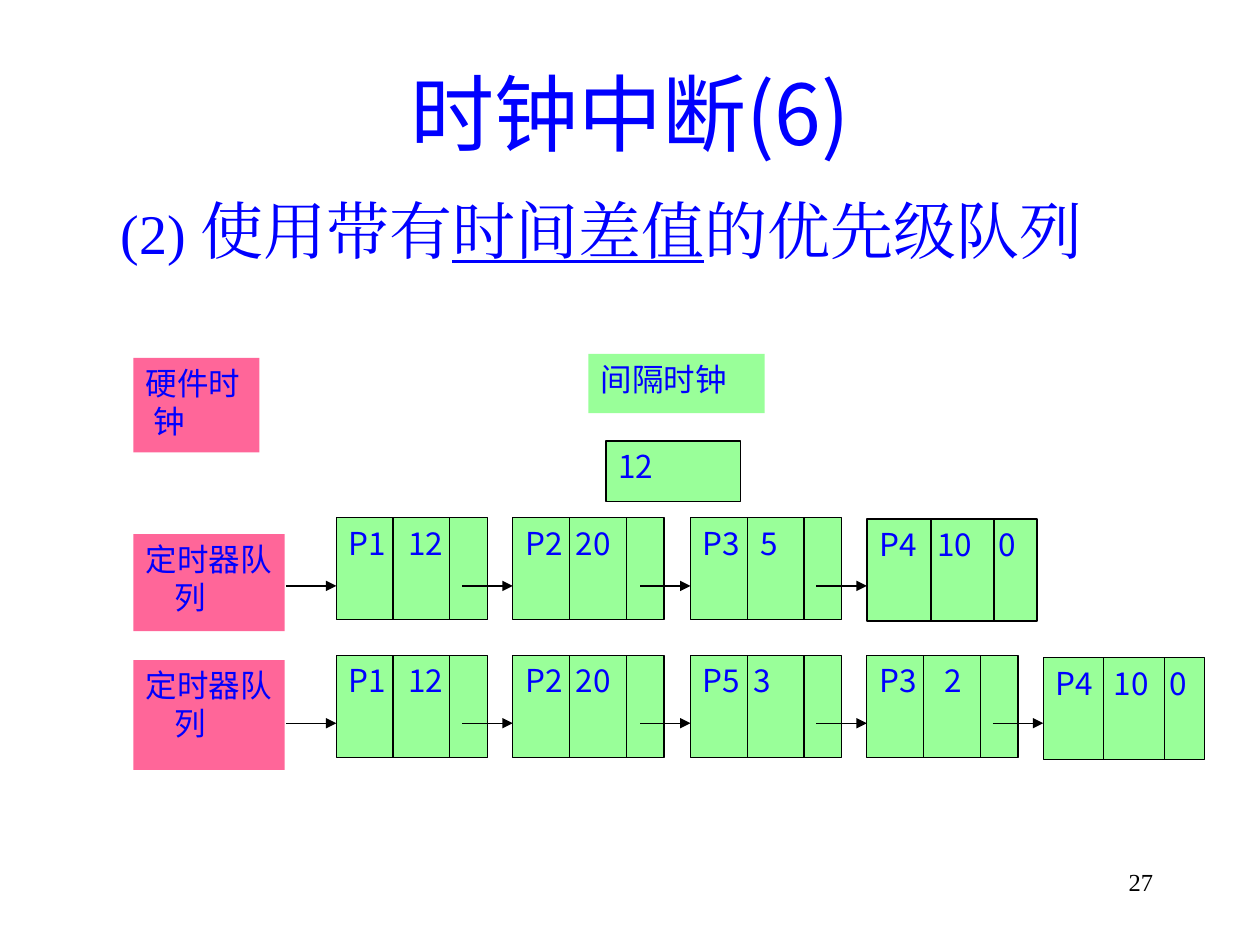
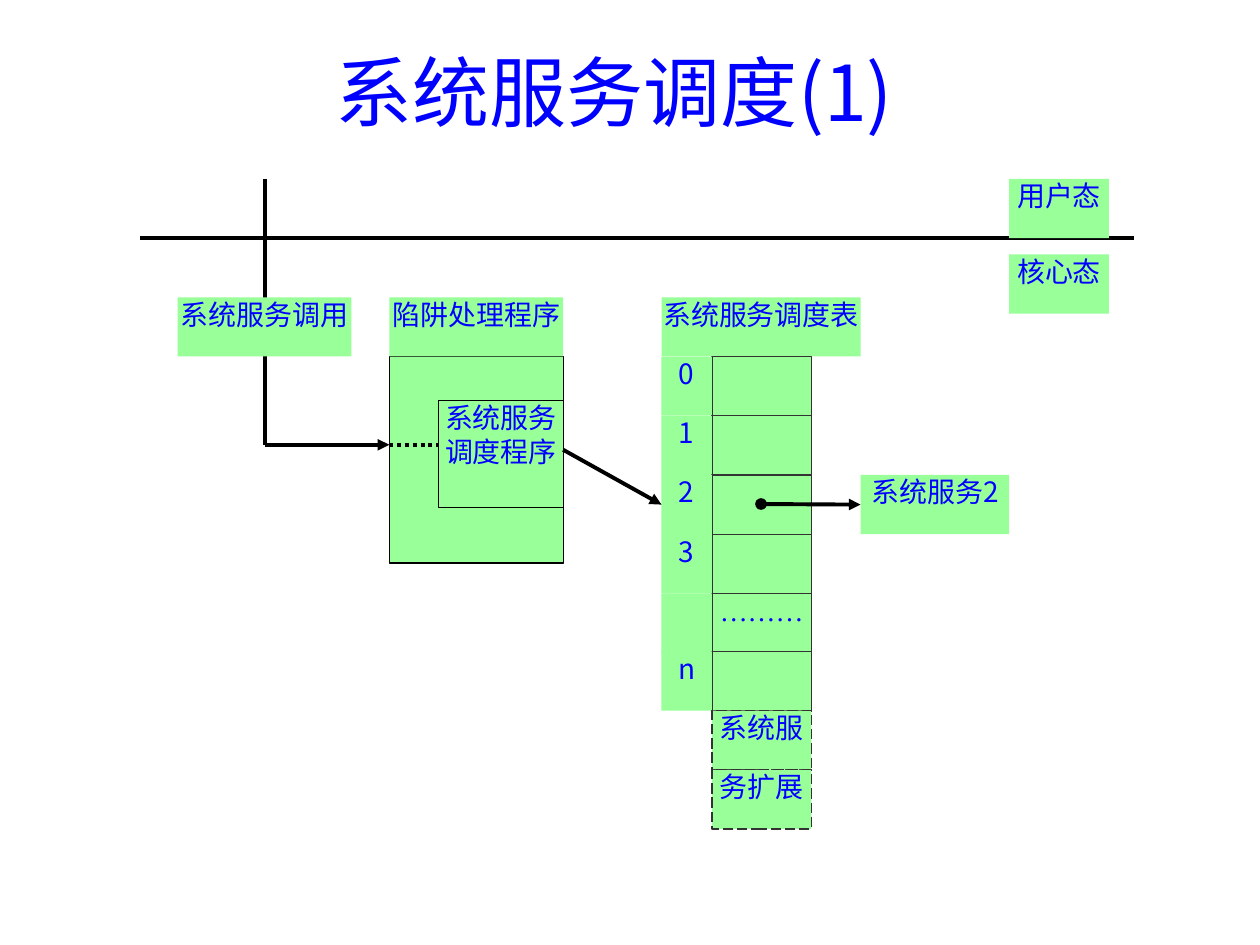
"""Build two slides on clock interrupts and system service dispatching."""
from lxml.etree import SubElement
from pptx import Presentation
from pptx.dml.color import RGBColor
from pptx.enum.dml import MSO_LINE as Dash
from pptx.enum.shapes import MSO_CONNECTOR as Link, MSO_SHAPE as Shape
from pptx.enum.text import MSO_ANCHOR as Anchor, MSO_AUTO_SIZE as Fit, PP_ALIGN as Align
from pptx.oxml.ns import qn
from pptx.util import Pt

PX = 9144
SANS, SERIF = "Noto Sans CJK JP", "Times New Roman"
BLUE, GREEN, PINK, BLACK, GREY = "0000FF", "99FF99", "FF6699", "000000", "333333"
color = RGBColor.from_string


def box(slide, place, text="", fill=GREEN, edge=None, dash=None, size=16,
        font=SANS, align=Align.CENTER, insets=(0, 0, 0, 0), tabs=(), hang=0):
    """Add a filled rectangle with top-anchored text."""
    shape = slide.shapes.add_shape(Shape.RECTANGLE, *[v * PX for v in place])
    shape.shadow.inherit = False
    shape.fill.solid()
    shape.fill.fore_color.rgb = color(fill)
    if edge:
        shape.line.color.rgb = color(edge)
        shape.line.width = Pt(0.75)
        shape.line.dash_style = dash
    else:
        shape.line.fill.background()
    frame = shape.text_frame
    frame.text = text
    frame.word_wrap = True
    frame.vertical_anchor = Anchor.TOP
    for side, inset in zip(("left", "top", "right", "bottom"), insets):
        setattr(frame, f"margin_{side}", inset * PX)
    for paragraph in frame.paragraphs:
        paragraph.alignment = align
        props = paragraph._p.get_or_add_pPr()
        if hang:
            props.set("marL", str(hang * PX))
            props.set("indent", str(-hang * PX))
        if tabs:
            stops = SubElement(props, qn("a:tabLst"))
            for stop in tabs:
                SubElement(stops, qn("a:tab"), pos=str(stop * PX), algn="l")
        for run in paragraph.runs:
            run.font.name, run.font.size = font, Pt(size)
            run.font.color.rgb = color(BLUE)
    return shape


def link(slide, ends, width=0.75, dash=None, head=None, tail=None):
    """Add a straight black line with optional line ends."""
    line = slide.shapes.add_connector(Link.STRAIGHT, *[v * PX for v in ends])
    line.line.color.rgb = color(BLACK)
    line.line.width = Pt(width)
    line.line.dash_style = dash
    outline = line.line._get_or_add_ln()
    for tag, kind in (("a:headEnd", head), ("a:tailEnd", tail)):
        if kind:
            SubElement(outline, qn(tag), type=kind)
    SubElement(line._element.spPr, qn("a:effectLst"))
    return line


prs = Presentation()
prs.slide_width, prs.slide_height = 1000 * PX, 750 * PX

pages = []
for layout, heading, size, place in (
    (1, "时钟中断(6)", 48, (75, 26, 850, 125)),
    (5, "系统服务调度(1)", 44, (25, 22, 925, 100)),
):
    page = prs.slides.add_slide(prs.slide_layouts[layout])
    title = page.shapes.title
    title.left, title.top, title.width, title.height = [v * PX for v in place]
    title.text_frame.text = heading
    title.text_frame.auto_size = Fit.NONE
    title.text_frame.vertical_anchor = Anchor.MIDDLE
    title_font = title.text_frame.paragraphs[0].runs[0].font
    for key, value in {"name": SANS, "size": Pt(size)}.items():
        setattr(title_font, key, value)
    title_font.color.rgb = color(BLUE)
    pages.append(page)
clock, dispatch = pages

method = clock.placeholders[1]
method.left, method.top, method.width, method.height = [v * PX for v in (75, 147, 850, 583)]
method.text_frame.auto_size = Fit.NONE
statement = method.text_frame.paragraphs[0]
statement.space_before = Pt(0)
indent = statement._p.get_or_add_pPr()
indent.set("marL", str(49 * PX))
indent.set("indent", str(-38 * PX))
SubElement(indent, qn("a:buNone"))
for text, size, underlined in (
    ("(2) ", 32, False),
    ("使用带有", 36, False),
    ("时间差值", 36, True),
    ("的优先级队列", 36, False),
):
    run = statement.add_run()
    run.text = text
    for key, value in {"name": SERIF, "size": Pt(size), "underline": underlined}.items():
        setattr(run.font, key, value)
    run.font.color.rgb = color(BLUE)

number = clock.shapes.add_textbox(*[v * PX for v in (717, 683, 208, 50)]).text_frame
number.word_wrap = True
number.text = "27"
number.paragraphs[0].alignment = Align.RIGHT
number_font = number.paragraphs[0].runs[0].font
number_font.name, number_font.size = SERIF, Pt(14)
number_font.color.rgb = color(BLACK)

label = {"size": 18, "align": Align.LEFT, "insets": (10, 5, 5, 5)}
box(clock, (106, 284, 100, 75), "硬件时钟", PINK, hang=6, **label)
box(clock, (467, 281, 140, 47), "间隔时钟", **label)
box(clock, (481, 350, 107, 48), "12", edge=BLACK, **label)

queues = (
    (424, 77, 411, (
        ("P1\t12", 120, 0, (47,)),
        ("P2\t20", 120, 0, (40,)),
        ("P3\t5", 120, 0, (46,)),
        ("P4\t10\t0", 135, 1, (46, 95)),
    )),
    (524, 87, 520, (
        ("P1\t12", 120, 0, (47,)),
        ("P2\t20", 120, 0, (40,)),
        ("P5\t3", 120, 0, (40,)),
        ("P3\t2", 120, 0, (52,)),
        ("P4\t10\t0", 128, 2, (46, 90)),
    )),
)
for queue_top, queue_height, top, timers in queues:
    box(clock, (106, queue_top, 120, queue_height), "定时器队列", PINK, hang=23, **label)
    for i, (timer, width, drop, tabs) in enumerate(timers):
        left, cell_top = 267 + round(140.3 * i), top + drop
        box(clock, (left, cell_top, width, 81), timer, edge=BLACK, tabs=tabs, **label)
        for eighths in (3, 6):
            divider = left + round(width * eighths / 8)
            link(clock, (divider, cell_top, divider, cell_top + 81))
    for i in range(len(timers)):
        left = 267 + round(140.3 * i)
        link(clock, (left - 40, top + 54, left, top + 54), tail="triangle")

link(dispatch, (111, 189, 900, 189), 2.25)
box(dispatch, (801, 142, 79, 47), "用户态")
box(dispatch, (801, 202, 79, 47), "核心态")
link(dispatch, (210, 142, 210, 353), 2.25)
box(dispatch, (141, 236, 138, 47), "系统服务调用")
link(dispatch, (210, 353, 309, 353), 2.25, tail="triangle")
box(dispatch, (309, 283, 138, 164), edge=BLACK)
box(dispatch, (309, 236, 138, 47), "陷阱处理程序")
box(dispatch, (348, 318, 99, 85), "系统服务\n调度程序", edge=BLACK)
link(dispatch, (309, 353, 348, 353), 2.25, Dash.ROUND_DOT)
box(dispatch, (525, 236, 158, 47), "系统服务调度表")

indexes = []
for i, (index, entry, font, dash) in enumerate((
    ("0", "", SANS, None),
    ("1", "", SANS, None),
    ("2", "", SANS, None),
    ("3", "", SANS, None),
    ("", "………", SERIF, None),
    ("n", "", SANS, None),
    (None, "系统服", SANS, Dash.LONG_DASH),
    (None, "务扩展", SANS, Dash.LONG_DASH),
)):
    top = 283 + round(46.9 * i)
    box(dispatch, (565, top, 79, 47), entry, edge=GREY, dash=dash, font=font)
    if index is not None:
        indexes.append(box(dispatch, (525, top, 40, 47), index))

lookup = link(dispatch, (447, 357, 525, 400), 2.25, tail="triangle")
lookup.end_connect(indexes[2], 1)
call = link(dispatch, (604, 400, 683, 400), 2.25, head="oval", tail="triangle")
service = box(dispatch, (683, 377, 118, 47), "系统服务2")
call.end_connect(service, 1)

for page in pages:
    for shape in page.shapes:
        if shape.has_text_frame:
            for paragraph in shape.text_frame.paragraphs:
                for run in paragraph.runs:
                    SubElement(run._r.get_or_add_rPr(), qn("a:ea"), typeface=run.font.name)

prs.save("out.pptx")
